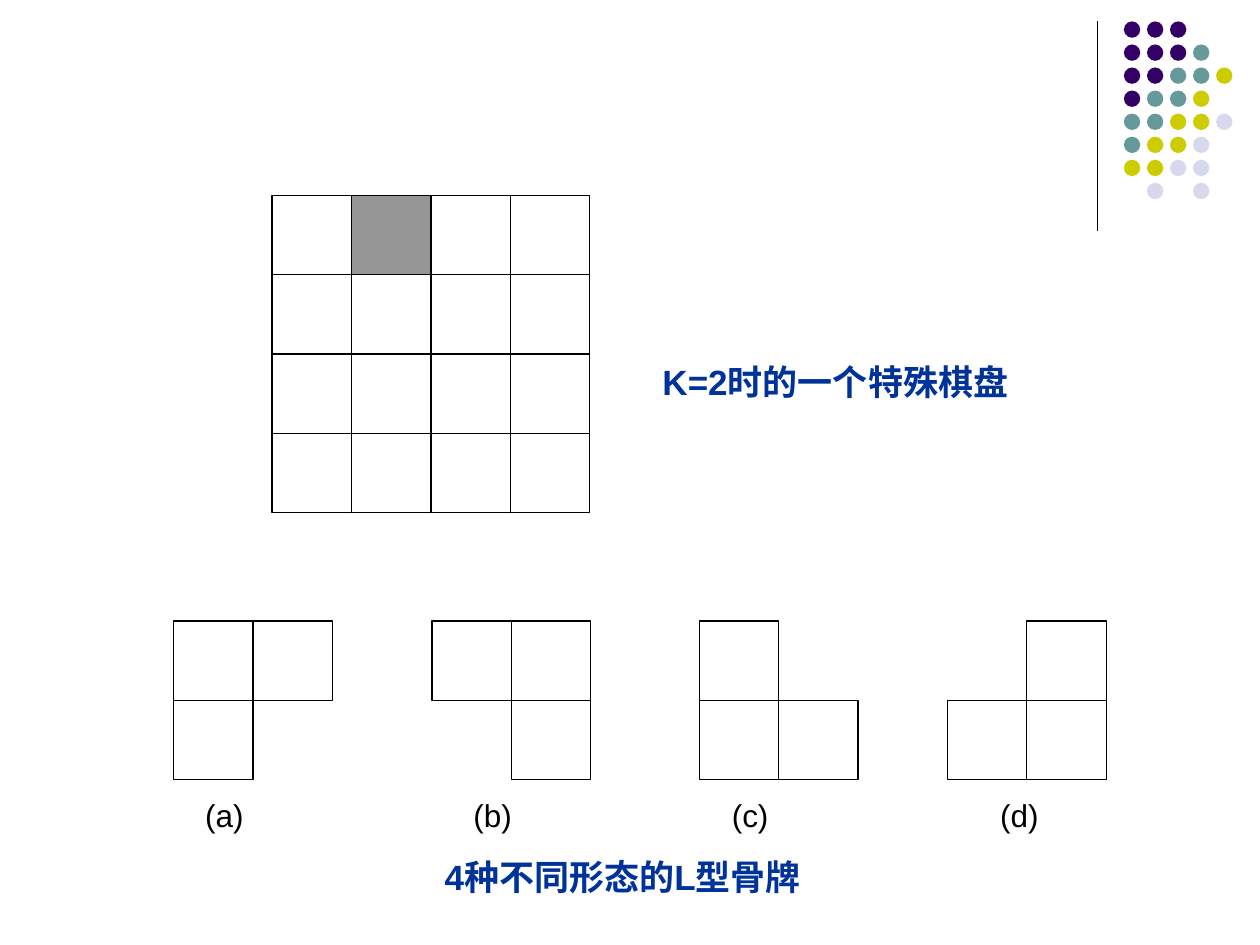
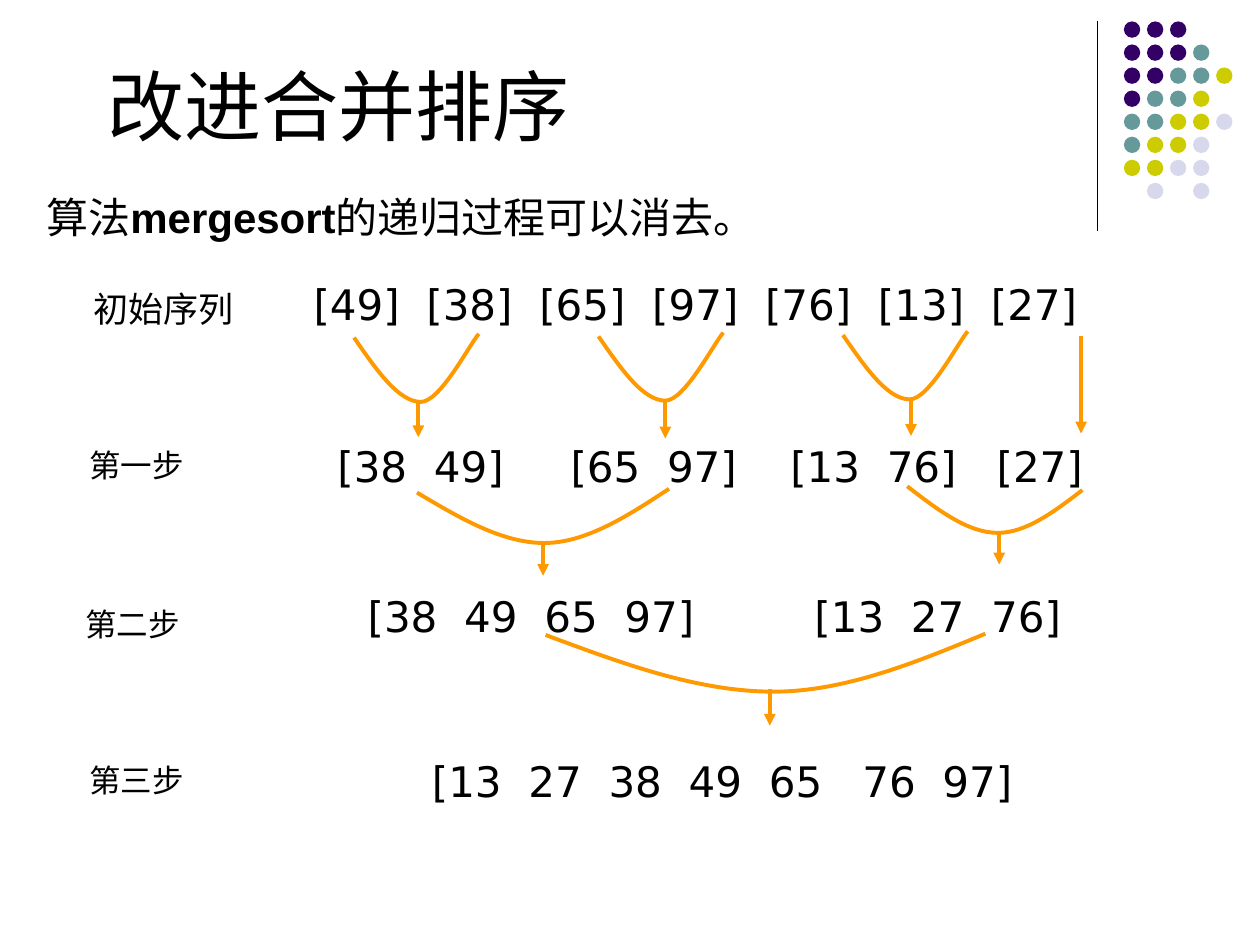
from dataclasses import dataclass

from lxml import etree
from pptx import Presentation, util as u
from pptx.dml.color import RGBColor
from pptx.enum import shapes, text
from pptx.oxml import ns


@dataclass(frozen=True)
class Theme:
    ink: str = "000000"
    paper: str = "FFFFFF"
    marked: str = "969696"
    caption: str = "003399"
    arrow: str = "FF9900"
    purple: str = "330066"
    teal: str = "669999"
    olive: str = "CCCC00"
    lilac: str = "D8D8EC"
    latin: str = "Arial"
    digits: str = "DejaVu Sans"
    chinese: str = "Noto Sans CJK SC"
    title: int = 44
    body: int = 24
    label: int = 20
    small: int = 18
    thin: float = 0.75
    thick: float = 2.25


THEME = Theme()
RGB = RGBColor.from_string


def fill_text(shape, box, runs, size, font=THEME.latin, color=THEME.ink, stops=()):
    """Place a text shape and write (wording, bold) runs, with tab stops in inches."""
    for name, value in zip(("left", "top", "width", "height"), box):
        setattr(shape, name, u.Inches(value))
    frame = shape.text_frame
    frame.word_wrap, frame.auto_size = True, text.MSO_AUTO_SIZE.NONE
    paragraph = frame.paragraphs[0]
    paragraph.alignment = text.PP_ALIGN.LEFT
    if stops:
        tabs = etree.SubElement(paragraph._p.get_or_add_pPr(), ns.qn("a:tabLst"))
        for stop in stops:
            etree.SubElement(tabs, ns.qn("a:tab"), pos=str(u.Inches(stop)), algn="l")
    for wording, bold in runs:
        run = paragraph.add_run()
        run.text = wording
        for name, value in {"size": u.Pt(size), "name": font, "bold": bold}.items():
            setattr(run.font, name, value)
        run.font.color.rgb = RGB(color)
        etree.SubElement(run._r.get_or_add_rPr(), ns.qn("a:ea"), typeface=THEME.chinese)


def add_vertical_line(slide, x, top, bottom, color, width, arrow=False):
    line = slide.shapes.add_connector(
        shapes.MSO_CONNECTOR.STRAIGHT, *map(u.Inches, (x, top, x, bottom)))
    line.line.color.rgb, line.line.width = RGB(color), u.Pt(width)
    if arrow:
        etree.SubElement(line.line._get_or_add_ln(), ns.qn("a:tailEnd"), type="triangle")
    etree.SubElement(line.element.spPr, ns.qn("a:effectLst"))
    return line


presentation = Presentation()
presentation.slide_width, presentation.slide_height = u.Inches(10), u.Inches(7.5)
board_slide = presentation.slides.add_slide(presentation.slide_layouts[6])
sort_slide = presentation.slides.add_slide(presentation.slide_layouts[5])

# Grids of equal cells: the dots of the master, the chessboard and the four L pieces
SQUARE = 0.63
CELL_COLORS = {"P": THEME.purple, "T": THEME.teal, "Y": THEME.olive, "L": THEME.lilac,
               "o": THEME.paper, "#": THEME.marked}
PIECE_TOP = 4.93
dots = (shapes.MSO_SHAPE.OVAL, 8.92, 0.17, 0.183, 0.13,
        "PPP PPPT PPTTY PTTY TTYYL TYYL YYLL .L.L")
squares = [
    (2.16, 1.55, "o#oo oooo oooo oooo"),
    (1.38, PIECE_TOP, "oo o."),
    (3.43, PIECE_TOP, "oo .o"),
    (5.55, PIECE_TOP, "o. oo"),
    (7.52, PIECE_TOP, ".o oo"),
]
grids = [dots] + [(shapes.MSO_SHAPE.RECTANGLE, left, top, SQUARE, SQUARE, pattern)
                  for left, top, pattern in squares]
groups = []
for preset, left, top, pitch, size, pattern in grids:
    group = board_slide.shapes.add_group_shape()
    groups.append(group)
    for row, cells in enumerate(pattern.split()):
        for column, cell in enumerate(cells):
            if cell == ".":
                continue
            shape = group.shapes.add_shape(preset, *map(u.Inches, (
                left + column * pitch, top + row * pitch, size, size)))
            shape.shadow.inherit = False
            shape.fill.solid()
            shape.fill.fore_color.rgb = RGB(CELL_COLORS[cell])
            if preset == shapes.MSO_SHAPE.OVAL:
                shape.line.fill.background()
            else:
                shape.line.color.rgb, shape.line.width = RGB(THEME.ink), u.Pt(THEME.thin)

# The dots and the rule beside them belong to the master
rule = add_vertical_line(board_slide, 8.71, 0.17, 1.83, THEME.ink, THEME.thin)
for decoration in (rule, groups[0]):
    presentation.slide_master.shapes.element.append(decoration.element)

# Chessboard captions
for letter, left in zip("abcd", (1.53, 3.66, 5.71, 7.84)):
    fill_text(board_slide.shapes.add_textbox(0, 0, 0, 0), (left, 6.27, SQUARE, 0.4),
              [(f"({letter})", False)], THEME.small)
for wording, left, top in (("K=2时的一个特殊棋盘", 5.16, 2.81),
                           ("4种不同形态的L型骨牌", 3.43, 6.74)):
    fill_text(board_slide.shapes.add_textbox(0, 0, 0, 0), (left, top, 3.23, 0.43),
              [(wording, True)], THEME.label, color=THEME.caption)

# Merge sort: heading and introduction
fill_text(sort_slide.shapes.title, (0.75, 0.21, 8.5, 1.25),
          [("改进合并排序", False)], THEME.title, THEME.chinese)
fill_text(sort_slide.shapes.add_textbox(0, 0, 0, 0), (0.27, 1.47, 9.37, 0.5),
          [("算法", False), ("mergesort", True), ("的递归过程可以消去。", False)], THEME.body)

# Sequences: label, its place and size; place, numbers and gaps (in spaces) between them
EM = THEME.body / 72
DIGIT, BRACKET, SPACE = 0.636 * EM, 0.39 * EM, 0.318 * EM
steps = [
    ("初始序列", 0.64, 2.23, THEME.label,
     2.39, 2.16, "[49] [38] [65] [97] [76] [13] [27]", (2, 2, 2, 2, 2, 2)),
    ("第一步", 0.61, 3.49, THEME.small,
     2.58, 3.45, "[38 49] [65 97] [13 76] [27]", (2, 5, 2, 4, 2, 3)),
    ("第二步", 0.58, 4.75, THEME.small,
     2.82, 4.64, "[38 49 65 97] [13 27 76]", (2, 2, 2, 9, 2, 2)),
    ("第三步", 0.61, 5.99, THEME.small,
     3.33, 5.95, "[13 27 38 49 65 76 97]", (2, 2, 2, 2, 3, 2)),
]
for label, label_left, label_top, size, left, top, sequence, gaps in steps:
    fill_text(sort_slide.shapes.add_textbox(0, 0, 0, 0), (label_left, label_top, 1.5, 0.43),
              [(label, False)], size, THEME.digits)
    numbers = sequence.split()
    stops, reach = [], 0
    for number, gap in zip(numbers, gaps):
        reach += sum(BRACKET if sign in "[]" else DIGIT for sign in number) + gap * SPACE
        stops.append(reach)
    fill_text(sort_slide.shapes.add_textbox(0, 0, 0, 0), (left, top, 6.7, 0.5),
              [("\t".join(numbers), False)], THEME.body, THEME.digits, stops=stops)

# Merge curves: start, lowest point, end, and how far the last handle lies on the way up
STEEP, GENTLE = (0.83, 0.83), (0.67, 0.5)
curves = [((2.81 + 1.94 * pair, 2.68 - 0.01 * pair), (3.34 + 1.94 * pair, 3.19 - 0.01 * pair),
           (3.8 + 1.94 * pair, 2.65 - 0.01 * pair), STEEP) for pair in range(3)]
curves += [
    ((3.31, 3.91), (4.32, 4.31), (5.31, 3.88), GENTLE),
    ((7.2, 3.86), (7.92, 4.23), (8.59, 3.89), GENTLE),
    ((4.33, 5.04), (6.14, 5.49), (7.82, 5.03), GENTLE),
]
for (x0, y0), (x1, y1), (x2, y2), (across, up) in curves:
    points = [
        (x0 + (x1 - x0) / 3, (y0 + y1) / 2), (x1 - (x1 - x0) / 3, y1), (x1, y1),
        (x1 + (x2 - x1) / 3, y1), (x1 + (x2 - x1) * across, y1 + (y2 - y1) * up), (x2, y2),
    ]
    builder = sort_slide.shapes.build_freeform(x0, y0, scale=u.Inches(1) / 1.0)
    builder = sort_slide.shapes.build_freeform(
        u.Inches(x0), u.Inches(y0), scale=1.0)
    builder.add_line_segments([(u.Inches(x), u.Inches(y)) for x, y in points], close=False)
    curve = builder.convert_to_shape()
    curve.shadow.inherit = False
    curve.fill.background()
    curve.line.color.rgb, curve.line.width = RGB(THEME.arrow), u.Pt(THEME.thick)
    # Every three straight segments become the handles and end of one Bezier segment
    outline = next(curve.element.iter(ns.qn("a:path")))
    segments = outline.findall(ns.qn("a:lnTo"))
    for first in (0, 3):
        bezier = etree.SubElement(outline, ns.qn("a:cubicBezTo"))
        for segment in segments[first:first + 3]:
            bezier.append(segment[0])
            outline.remove(segment)

for x, top, bottom in ((3.32, 3.18, 3.47), (5.28, 3.19, 3.48), (7.23, 3.17, 3.46),
                       (8.58, 2.67, 3.44), (4.31, 4.32, 4.57), (7.93, 4.23, 4.48),
                       (6.11, 5.47, 5.76)):
    add_vertical_line(sort_slide, x, top, bottom, THEME.arrow, THEME.thick, arrow=True)

presentation.save("out.pptx")
